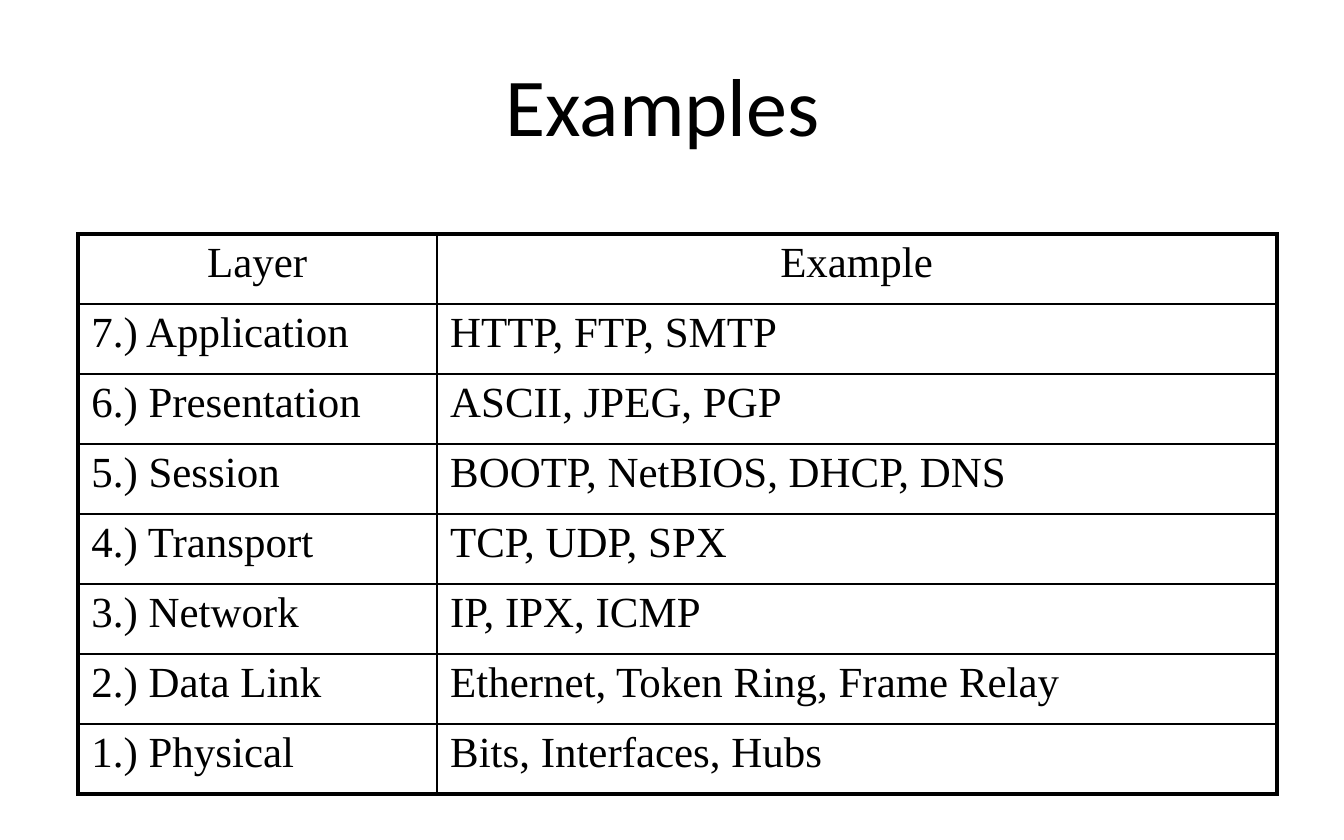
from lxml.etree import SubElement
from pptx import Presentation
from pptx.dml.color import RGBColor
from pptx.enum.text import MSO_ANCHOR as Anchor, PP_ALIGN as Align
from pptx.oxml.ns import qn
from pptx.util import Inches, Pt

COLORS = {"text": "000000", "border": "000000"}
OUTER, INNER = 2.25, 1  # border widths in points
COLUMNS = [2.67, 6.25]
LAYERS = [
    ("Layer", "Example"),
    ("7.) Application", "HTTP, FTP, SMTP"),
    ("6.) Presentation", "ASCII, JPEG, PGP"),
    ("5.) Session", "BOOTP, NetBIOS, DHCP, DNS"),
    ("4.) Transport", "TCP, UDP, SPX"),
    ("3.) Network", "IP, IPX, ICMP"),
    ("2.) Data Link", "Ethernet, Token Ring, Frame Relay"),
    ("1.) Physical", "Bits, Interfaces, Hubs"),
]


def format_text(para, font_name, size, align):
    para.alignment = align
    for span in para.runs:
        span.font.name = font_name
        span.font.size = Pt(size)
        span.font.color.rgb = RGBColor.from_string(COLORS["text"])


def set_borders(cell, widths):
    """Draw the cell's sides; widths maps L, R, T, B (in that order) to points."""
    properties = cell._tc.get_or_add_tcPr()
    for side, width in widths.items():
        line = SubElement(properties, qn(f"a:ln{side}"), w=str(Pt(width)))
        fill = SubElement(line, qn("a:solidFill"))
        SubElement(fill, qn("a:srgbClr"), val=COLORS["border"])


def add_title(page, text, box):
    title = page.shapes.title
    title.left, title.top, title.width, title.height = map(Inches, box)
    frame = title.text_frame
    frame.text = text
    frame.vertical_anchor = Anchor.MIDDLE
    format_text(frame.paragraphs[0], "Calibri", 44, Align.CENTER)


def add_layer_table(page, rows, box):
    last_row, last_column = len(rows) - 1, len(COLUMNS) - 1
    table = page.shapes.add_table(len(rows), len(COLUMNS), *map(Inches, box)).table
    table.first_row = table.horz_banding = False
    for column, share in zip(table.columns, COLUMNS):
        column.width = Inches(box[2] * share / sum(COLUMNS))

    for r, texts in enumerate(rows):
        for c, text in enumerate(texts):
            cell = table.cell(r, c)
            cell.text = text
            cell.margin_left = cell.margin_right = Inches(0.1)
            cell.margin_top = cell.margin_bottom = Inches(0.04)
            align = Align.CENTER if r == 0 else Align.LEFT
            format_text(cell.text_frame.paragraphs[0], "Times New Roman", 23, align)
            # Heavy frame outside, thin rules inside
            edges = {"L": c == 0, "R": c == last_column, "T": r == 0, "B": r == last_row}
            set_borders(cell, {side: OUTER if edge else INNER for side, edge in edges.items()})
            cell.fill.background()


def main():
    deck = Presentation()
    deck.slide_width, deck.slide_height = Inches(10), Inches(6.25)
    page = deck.slides.add_slide(deck.slide_layouts[5])
    add_title(page, "Examples ", (0.5, 0.25, 9, 1.04))
    add_layer_table(page, LAYERS, (0.58, 1.74, 8.92, 4.17))
    deck.save("out.pptx")


if __name__ == "__main__":
    main()
